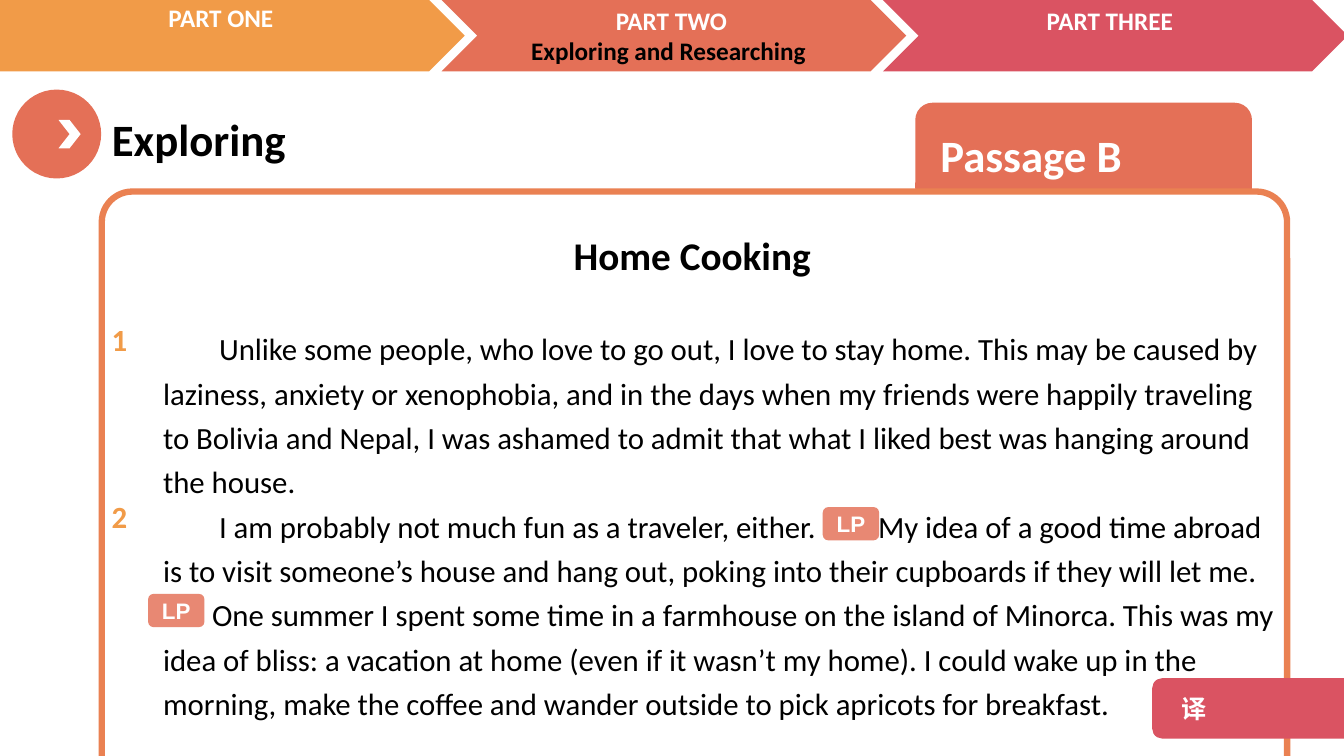
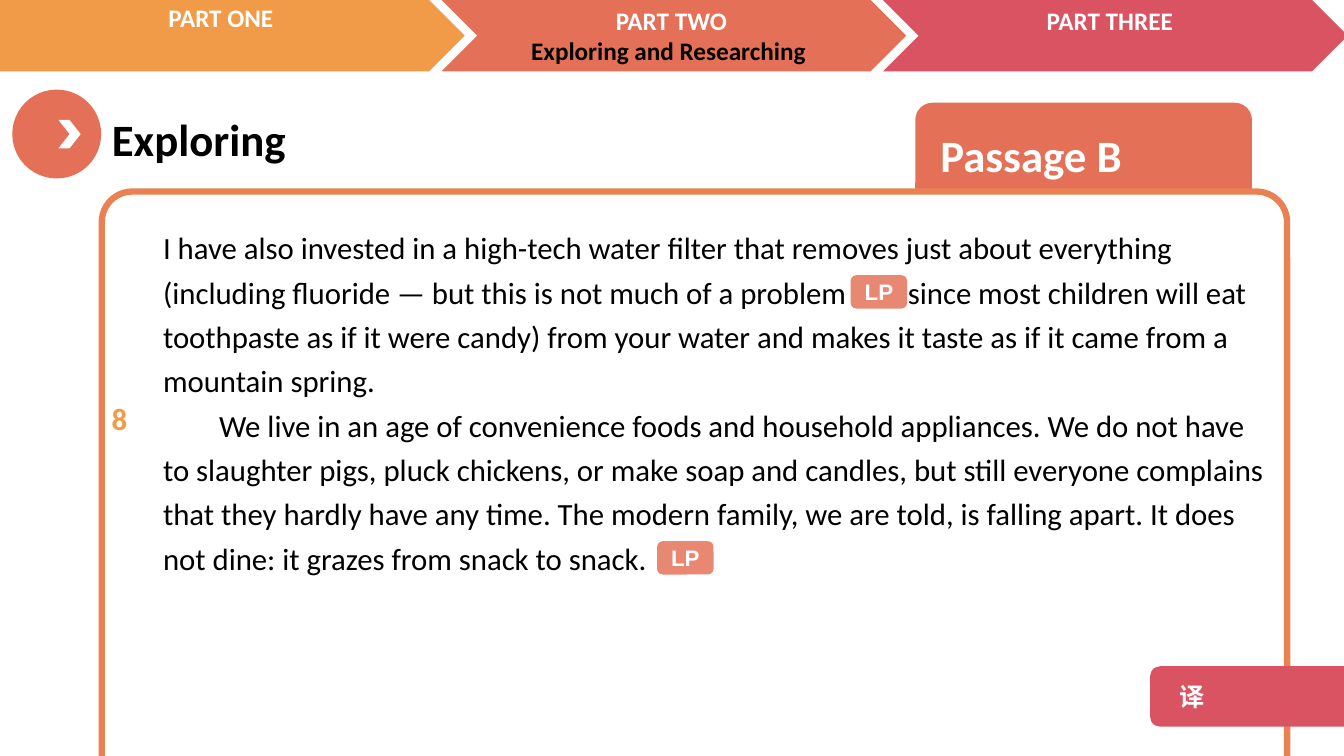
from dataclasses import dataclass
from typing import NamedTuple, Optional

from lxml.etree import SubElement
from pptx import Presentation
from pptx.dml.color import RGBColor
from pptx.enum.shapes import MSO_SHAPE as Preset
from pptx.enum.text import MSO_ANCHOR as Anchor
from pptx.enum.text import MSO_AUTO_SIZE as AutoSize
from pptx.enum.text import PP_ALIGN as Align
from pptx.oxml.ns import qn
from pptx.shapes.autoshape import Shape
from pptx.slide import Slide
from pptx.util import Pt

COLORS = {
    "amber": "F19B48",
    "coral": "E47057",
    "rose": "DA5362",
    "frame": "EA8152",
    "white": "FFFFFF",
    "black": "000000",
}
LATIN = "Calibri"
BADGE_FONT = "Arial"
CHINESE = "Noto Sans CJK SC"
LINE_SPACING = 1.2
FIRST_LINE = 40


class Box(NamedTuple):
    left: float
    top: float
    width: float
    height: float


class Style(NamedTuple):
    size: float
    color: str = "black"
    bold: bool = True
    font: str = LATIN


@dataclass
class Line:
    text: str
    style: Style
    align: Align = Align.LEFT
    spacing: Optional[float] = None
    before: float = 0
    indent: float = 0
    tabs: tuple[float, ...] = ()


@dataclass
class Part:
    arrow: Box
    color: str
    label: Box
    lines: list[Line]


@dataclass
class Passage:
    body: Box
    paragraphs: list[Line]
    numbers: Box
    numerals: list[Line]
    translation: tuple[float, float]
    badges: list[tuple[float, float]]
    heading: Optional[str] = None


PART_STYLE = Style(18, "white")
BODY_STYLE = Style(22, bold=False)
NUMBER_STYLE = Style(22, "amber")


def body_line(text: str, indent: float = FIRST_LINE, tabs: tuple[float, ...] = ()) -> Line:
    return Line(text, BODY_STYLE, spacing=LINE_SPACING, indent=indent, tabs=tabs)


def number_line(text: str, before: float = 0) -> Line:
    return Line(text, NUMBER_STYLE, spacing=LINE_SPACING, before=before)


def part_line(text: str, color: str = "white") -> Line:
    return Line(text, PART_STYLE._replace(color=color), Align.CENTER)


PARTS = [
    Part(Box(315.4, 0, 332, 51), "coral", Box(315.4, 0, 328.3, 51),
         [part_line("PART TWO"), part_line("Exploring and Researching ", "black")]),
    Part(Box(630.7, 0, 332, 51), "rose", Box(628.6, 0, 328.3, 29),
         [part_line("PART THREE")]),
    Part(Box(-44, 0, 376, 51), "amber", Box(-4.3, -2.2, 328.3, 29),
         [part_line("PART ONE ")]),
]

PASSAGES = [
    Passage(
        heading="Home Cooking",
        body=Box(109.4, 227, 810, 294),
        paragraphs=[
            body_line(
                "Unlike some people, who love to go out, I love to stay home. This may be "
                "caused by laziness, anxiety or xenophobia, and in the days when my friends "
                "were happily traveling to Bolivia and Nepal, I was ashamed to admit that "
                "what I liked best was hanging around the house."),
            body_line(
                "\tI am probably not much fun as a traveler, either.\tMy idea of a good time "
                "abroad is to visit someone’s house and hang out, poking into their "
                "cupboards if they will let me.", indent=0, tabs=(FIRST_LINE, 510.7)),
            body_line(
                "One summer I spent some time in a farmhouse on the island of Minorca. This "
                "was my idea of bliss: a vacation at home (even if it wasn’t my home). I "
                "could wake up in the morning, make the coffee and wander outside to pick "
                "apricots for breakfast.", indent=35),
        ],
        numbers=Box(72.7, 220.6, 36.7, 300),
        numerals=[number_line("1"), number_line("2", before=94.7)],
        translation=(823, 484.4),
        badges=[(105.8, 424.2), (587.7, 362.2)],
    ),
    Passage(
        body=Box(109.4, 154.8, 810, 263),
        paragraphs=[
            body_line(
                "I have also invested in a high-tech water filter that removes just about "
                "everything (including fluoride — but this is not much of a problem\tsince "
                "most children will eat toothpaste as if it were candy) from your water and "
                "makes it taste as if it came from a mountain spring.",
                indent=0, tabs=(532,)),
            body_line(
                "We live in an age of convenience foods and household appliances. We do not "
                "have to slaughter pigs, pluck chickens, or make soap and candles, but still "
                "everyone complains that they hardly have any time. The modern family, we "
                "are told, is falling apart. It does not dine: it grazes from snack to "
                "snack."),
        ],
        numbers=Box(72.7, 277, 36.7, 40),
        numerals=[number_line("8")],
        translation=(821.5, 475.9),
        badges=[(607.7, 196.6), (469.4, 386.6)],
    ),
]


def rgb(name: str) -> RGBColor:
    return RGBColor.from_string(COLORS[name])


def lengths(box: Box) -> list[Pt]:
    return [Pt(value) for value in box]


def write(holder: Shape, lines: list[Line], anchor: Anchor = Anchor.TOP) -> None:
    frame = holder.text_frame
    frame.word_wrap = True
    frame.auto_size = AutoSize.NONE
    frame.vertical_anchor = anchor
    for index, line in enumerate(lines):
        paragraph = frame.paragraphs[0] if index == 0 else frame.add_paragraph()
        properties = paragraph._p.get_or_add_pPr()
        if line.indent:
            properties.set("marL", "0")
            properties.set("indent", str(int(Pt(line.indent))))
        if line.tabs:
            stops = SubElement(properties, qn("a:tabLst"))
            for tab in line.tabs:
                SubElement(stops, qn("a:tab"), pos=str(int(Pt(tab))), algn="l")
        paragraph.alignment = line.align
        if line.spacing:
            paragraph.line_spacing = line.spacing
        if line.before:
            paragraph.space_before = Pt(line.before)
        run = paragraph.add_run()
        run.text = line.text
        run.font.size = Pt(line.style.size)
        run.font.bold = line.style.bold
        run.font.name = line.style.font
        run.font.color.rgb = rgb(line.style.color)
        if line.style.font == CHINESE:
            SubElement(run._r.get_or_add_rPr(), qn("a:ea"), typeface=CHINESE)


def add_text(slide: Slide, box: Box, lines: list[Line]) -> None:
    write(slide.shapes.add_textbox(*lengths(box)), lines)


def add_panel(slide: Slide, preset: Preset, box: Box, color: str,
              line: Optional[Line] = None) -> Shape:
    panel = slide.shapes.add_shape(preset, *lengths(box))
    panel.shadow.inherit = False
    panel.fill.solid()
    panel.fill.fore_color.rgb = rgb(color)
    panel.line.fill.background()
    if line:
        write(panel, [line], Anchor.MIDDLE)
    return panel


def add_badge(slide: Slide, left: float, top: float) -> None:
    label = Line("LP", Style(16, "white", font=BADGE_FONT), Align.CENTER)
    badge = add_panel(slide, Preset.ROUNDED_RECTANGLE, Box(left, top, 40.3, 23.8),
                      "coral", label)
    tint = badge.fill._xPr.find(qn("a:solidFill"))[0]
    SubElement(tint, qn("a:alpha"), val="83000")


def draw_common(slide: Slide) -> None:
    title = slide.shapes.title
    title.left, title.top, title.width, title.height = lengths(Box(72.7, 76.3, 349, 46))
    write(title, [Line("Exploring", Style(32))])
    for part in PARTS:
        add_panel(slide, Preset.CHEVRON, part.arrow, part.color)
    for part in PARTS:
        add_text(slide, part.label, part.lines)
    add_panel(slide, Preset.OVAL, Box(8.8, 64, 63.5, 63.5), "coral")
    add_panel(slide, Preset.CHEVRON, Box(41.8, 85.7, 15.8, 20.2), "white")
    add_panel(slide, Preset.ROUNDED_RECTANGLE, Box(653.8, 73.4, 240.5, 73.4), "coral",
              Line("Passage B", Style(32, "white"), indent=7.2))
    frame = add_panel(slide, Preset.ROUNDED_RECTANGLE, Box(72.7, 136.8, 846.7, 464.4),
                      "white")
    frame.adjustments[0] = 0.047
    frame.line.color.rgb = rgb("frame")
    frame.line.width = Pt(4.5)


def draw_passage(slide: Slide, passage: Passage) -> None:
    draw_common(slide)
    if passage.heading:
        add_text(slide, Box(109.4, 154.8, 770, 48),
                 [Line(passage.heading, Style(28), Align.CENTER, LINE_SPACING)])
    add_text(slide, passage.body, passage.paragraphs)
    add_text(slide, passage.numbers, passage.numerals)
    add_panel(slide, Preset.ROUNDED_RECTANGLE, Box(*passage.translation, 153.4, 43.2),
              "rose", Line("译", Style(18, "white", font=CHINESE), indent=12))
    for left, top in passage.badges:
        add_badge(slide, left, top)


def main() -> None:
    deck = Presentation()
    deck.slide_width, deck.slide_height = Pt(960), Pt(540)
    title_only = deck.slide_layouts[5]
    for passage in PASSAGES:
        draw_passage(deck.slides.add_slide(title_only), passage)
    deck.save("out.pptx")


if __name__ == "__main__":
    main()
